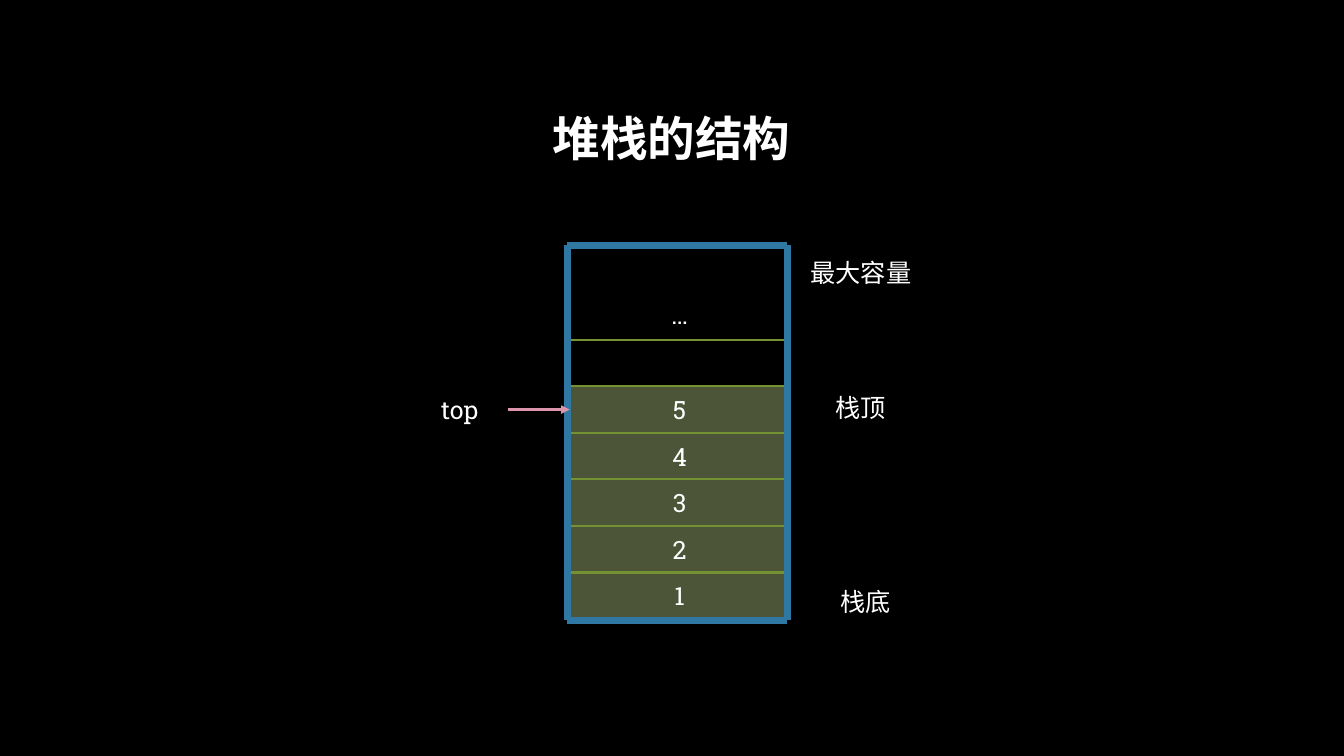
from dataclasses import dataclass

from lxml import etree
from pptx import Presentation
from pptx.dml.color import RGBColor
from pptx.enum.shapes import MSO_CONNECTOR, MSO_SHAPE
from pptx.enum.text import MSO_ANCHOR, PP_ALIGN
from pptx.oxml.ns import qn
from pptx.util import Inches, Pt

RECT = MSO_SHAPE.RECTANGLE
STRAIGHT = MSO_CONNECTOR.STRAIGHT
MIDDLE = MSO_ANCHOR.MIDDLE
CENTER = PP_ALIGN.CENTER
LEFT_SIDE, RIGHT_SIDE = 1, 3


@dataclass(frozen=True)
class Theme:
    font: str = "Roboto Slab"
    title_size: int = 34
    body_size: int = 18
    background: str = "000000"
    text: str = "FFFFFF"
    cell_fill: str = "C5DC8F"
    cell_alpha: int = 39
    cell_line: str = "759232"
    frame: str = "2E78A3"
    arrow: str = "DC95AA"


def rgb(value):
    return RGBColor.from_string(value)


def write(sp, text, *, font, size, color, bold=False, spacing=None):
    """Put one centred line of text in a shape."""
    tf = sp.text_frame
    tf.word_wrap = True
    tf.vertical_anchor = MIDDLE
    p = tf.paragraphs[0]
    p.alignment = CENTER
    if spacing:
        p.line_spacing = spacing
    r = p.add_run()
    r.text = text
    r.font.name = font
    r.font.size = Pt(size)
    r.font.bold = bold
    r.font.color.rgb = rgb(color)


class StackSlide:
    """Grid unit: one stack cell; the origin is the top left of the free cell."""
    LEFT, TOP = 5.65, 3.37
    COL, ROW = 2.18, 0.462

    def __init__(self, prs, theme):
        self.theme = theme
        self.slide = prs.slides.add_slide(prs.slide_layouts[5])
        self.shapes = self.slide.shapes
        fill = self.slide.background.fill
        fill.solid()
        fill.fore_color.rgb = rgb(theme.background)

    def point(self, col, row):
        return Inches(self.LEFT + col * self.COL), Inches(self.TOP + row * self.ROW)

    def area(self, col, row, cols):
        return *self.point(col, row), Inches(cols * self.COL), Inches(self.ROW)

    def body(self, sp, text):
        t = self.theme
        write(sp, text, font=t.font, size=t.body_size, color=t.text)

    def title(self, text, left, top, width, height):
        t, sp = self.theme, self.shapes.title
        sp.left, sp.top = Inches(left), Inches(top)
        sp.width, sp.height = Inches(width), Inches(height)
        write(sp, text, font=t.font, size=t.title_size, color=t.text,
              bold=True, spacing=0.9)

    def cell(self, row, text=None):
        t = self.theme
        sp = self.shapes.add_shape(RECT, *self.area(0, row, 1))
        sp.shadow.inherit = False
        sp.line.color.rgb = rgb(t.cell_line)
        sp.line.width = Pt(1.5)
        if text is None:
            sp.fill.background()
            return sp
        sp.fill.solid()
        sp.fill.fore_color.rgb = rgb(t.cell_fill)
        color = sp.fill._xPr.find(qn("a:solidFill"))[0]
        etree.SubElement(color, qn("a:alpha"), val=str(t.cell_alpha * 1000))
        self.body(sp, text)
        return sp

    def label(self, text, col, row, cols):
        sp = self.shapes.add_textbox(*self.area(col, row, cols))
        self.body(sp, text)
        return sp

    def line(self, start, end, color, width):
        cxn = self.shapes.add_connector(STRAIGHT, *self.point(*start), *self.point(*end))
        cxn.line.color.rgb = rgb(color)
        cxn.line.width = Pt(width)
        etree.SubElement(cxn._element.spPr, qn("a:effectLst"))
        return cxn

    def arrow(self, source, target, start, end):
        cxn = self.line(start, end, self.theme.arrow, 2)
        cxn.begin_connect(source, RIGHT_SIDE)
        cxn.end_connect(target, LEFT_SIDE)
        etree.SubElement(cxn.line._get_or_add_ln(), qn("a:tailEnd"), type="triangle")


def main():
    prs = Presentation()
    prs.slide_width, prs.slide_height = Inches(13.33), Inches(7.5)
    theme = Theme()
    s = StackSlide(prs, theme)
    s.title("堆栈的结构", 1, 0.67, 11.32, 1.45)

    # Stack cells, from the bottom up
    for value in range(1, 6):
        top_cell = s.cell(6 - value, str(value))
    s.cell(0)
    s.label("…", 0, -1.04, 1)

    # Frame around the stack
    left, right, top, bottom = -0.01, 0.99, -2.03, 6.02
    for col in (left, right):
        s.line((col, top), (col, bottom), theme.frame, 5)
    for row in (bottom, top):
        s.line((left, row), (right, row), theme.frame, 5)

    # Pointer to the top cell
    pointer = s.label("top", -0.72, 1, 0.44)
    s.arrow(pointer, top_cell, (-0.28, 1.5), (0, 1.5))

    # Labels on the right
    for text, col, row in (("栈底", 1.01, 5.11),
                           ("最大容量", 0.99, -1.95),
                           ("栈顶", 0.99, 0.95)):
        s.label(text, col, row, 0.67)

    prs.save("out.pptx")


if __name__ == "__main__":
    main()
